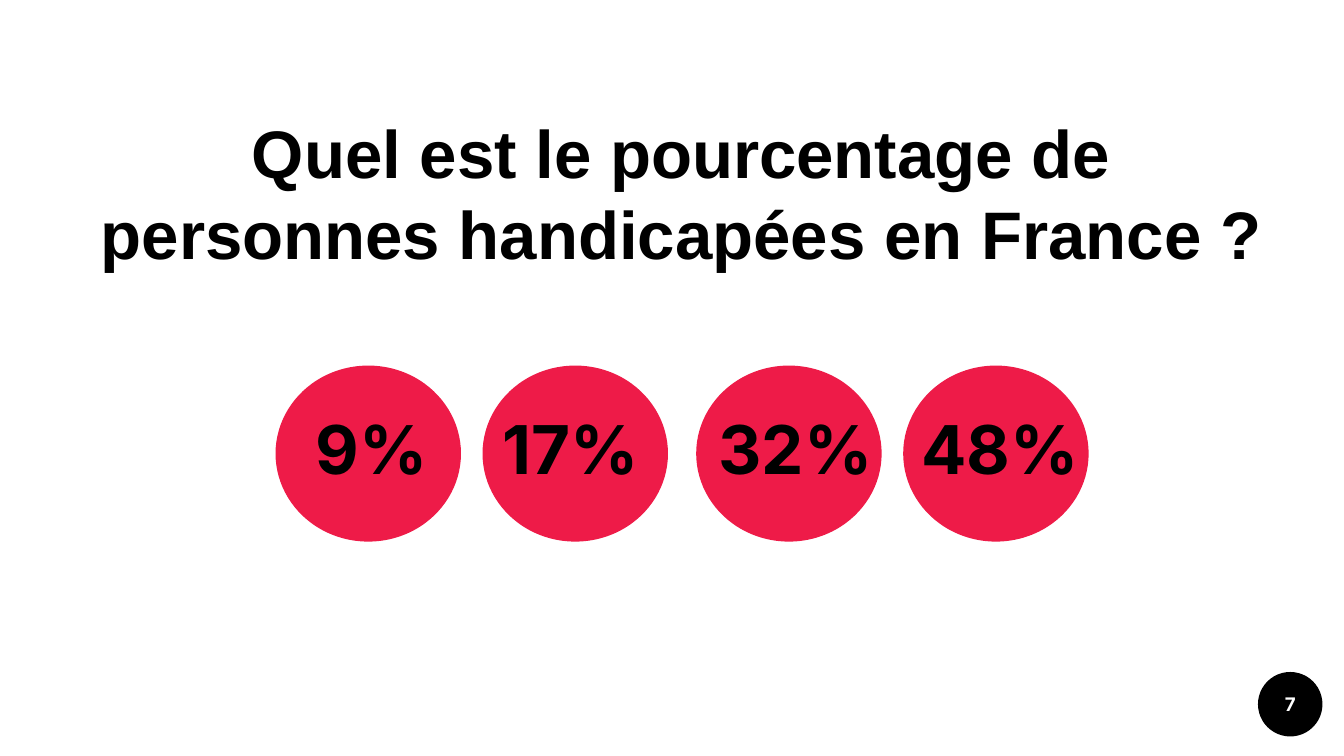
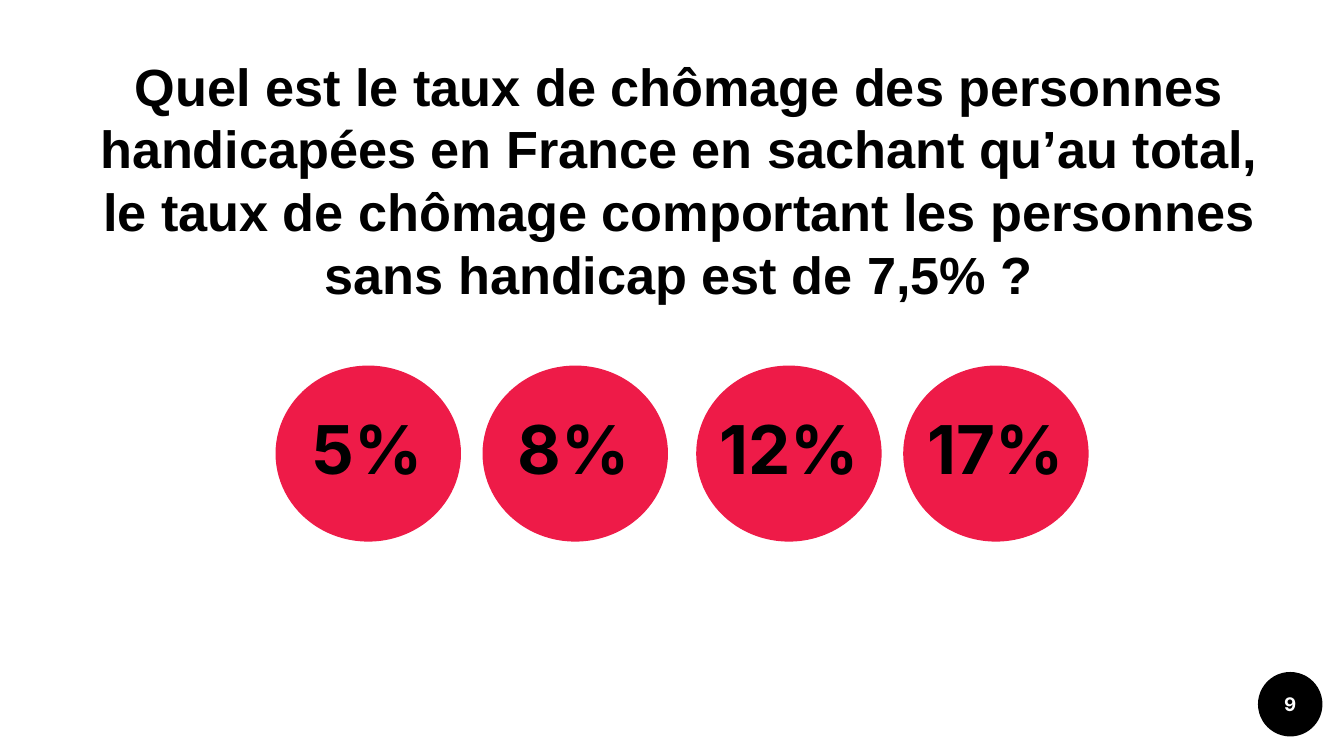
import pptx
import pptx.util
import pptx.dml.color
import pptx.enum.shapes
import pptx.enum.text
from dataclasses import dataclass


@dataclass(frozen=True)
class Theme:
    ink: str = "000000"
    paper: str = "FFFFFF"
    accent: str = "EE1B48"
    title_font: str = "Arial"
    body_font: str = "Inter"
    answer_size: int = 36
    number_size: int = 10


theme = Theme()
Inches = pptx.util.Inches
RGB = pptx.dml.color.RGBColor.from_string
ANCHOR = pptx.enum.text.MSO_ANCHOR

# Widescreen page, 16:9
prs = pptx.Presentation()
prs.slide_width = Inches(10)
prs.slide_height = prs.slide_width * 9 // 16

# Answer grid: two pairs of circles
GRID_LEFT, GRID_TOP = 2.05, 2.72
PAIR_STEP, CIRCLE_STEP = 3.13, 1.54
CIRCLE_W, CIRCLE_H = 1.38, 1.31
LABEL_TOP, LABEL_H = 3.1, 0.46
BADGE = (9.36, 5, 0.48, 0.48)

# Each answer: text, label shift from its circle, label width
questions = [
    dict(
        title="Quel est le pourcentage de personnes handicapées en France ?",
        box=(0.46, 0.77, 9.22, 1.36), size=36, anchor=ANCHOR.BOTTOM, number="7",
        answers=[("9%", 0.05, 1.33), ("17%", -0.01, 1.33),
                 ("32%", 0.02, 1.44), ("48%", 0, 1.44)],
    ),
    dict(
        title="Quel est le taux de chômage des personnes handicapées en France "
              "en sachant qu’au total, le taux de chômage comportant les "
              "personnes sans handicap est de 7,5% ?",
        box=(0.44, 0.31, 9.22, 2.05), size=28, anchor=ANCHOR.MIDDLE, number="9",
        answers=[("5%", 0.02, 1.33), ("8%", -0.01, 1.38),
                 ("12%", -0.03, 1.44), ("17%", -0.03, 1.44)],
    ),
]


def add_ellipse(slide, box, color):
    sp = slide.shapes.add_shape(pptx.enum.shapes.MSO_SHAPE.OVAL, *map(Inches, box))
    sp.shadow.inherit = False
    sp.fill.solid()
    sp.fill.fore_color.rgb = RGB(color)
    sp.line.fill.background()
    return sp


def write(sp, text, font, size, color, anchor=ANCHOR.MIDDLE):
    tf = sp.text_frame
    tf.word_wrap = True
    tf.vertical_anchor = anchor
    tf.margin_left = tf.margin_right = tf.margin_top = tf.margin_bottom = Inches(0.1)
    p = tf.paragraphs[0]
    p.alignment = pptx.enum.text.PP_ALIGN.CENTER
    r = p.add_run()
    r.text = text
    r.font.name, r.font.size, r.font.bold = font, pptx.util.Pt(size), True
    r.font.color.rgb = RGB(color)
    return p


for q in questions:
    slide = prs.slides.add_slide(prs.slide_layouts[6])
    slide.background.fill.solid()
    slide.background.fill.fore_color.rgb = RGB(theme.paper)

    # Question
    sp = slide.shapes.add_textbox(*map(Inches, q["box"]))
    write(sp, q["title"], theme.title_font, q["size"], theme.ink, q["anchor"])

    # Answers
    for i, (text, shift, width) in enumerate(q["answers"]):
        left = GRID_LEFT + PAIR_STEP * (i // 2) + CIRCLE_STEP * (i % 2)
        add_ellipse(slide, (left, GRID_TOP, CIRCLE_W, CIRCLE_H), theme.accent)
        label = (left + shift, LABEL_TOP, width, LABEL_H)
        sp = slide.shapes.add_textbox(*map(Inches, label))
        p = write(sp, text, theme.body_font, theme.answer_size, theme.ink)
        p.space_before = pptx.util.Pt(6)

    # Slide number
    sp = add_ellipse(slide, BADGE, theme.ink)
    write(sp, q["number"], theme.body_font, theme.number_size, theme.paper)

prs.save("out.pptx")
